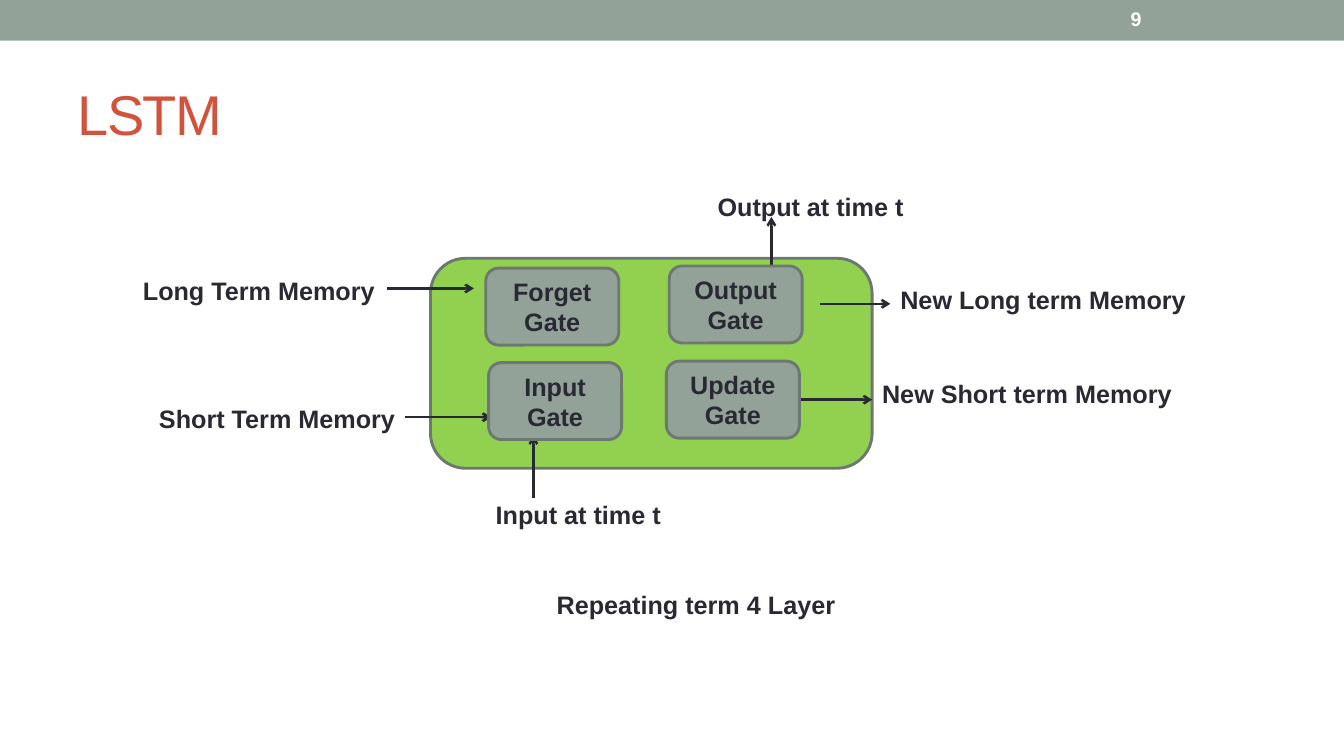
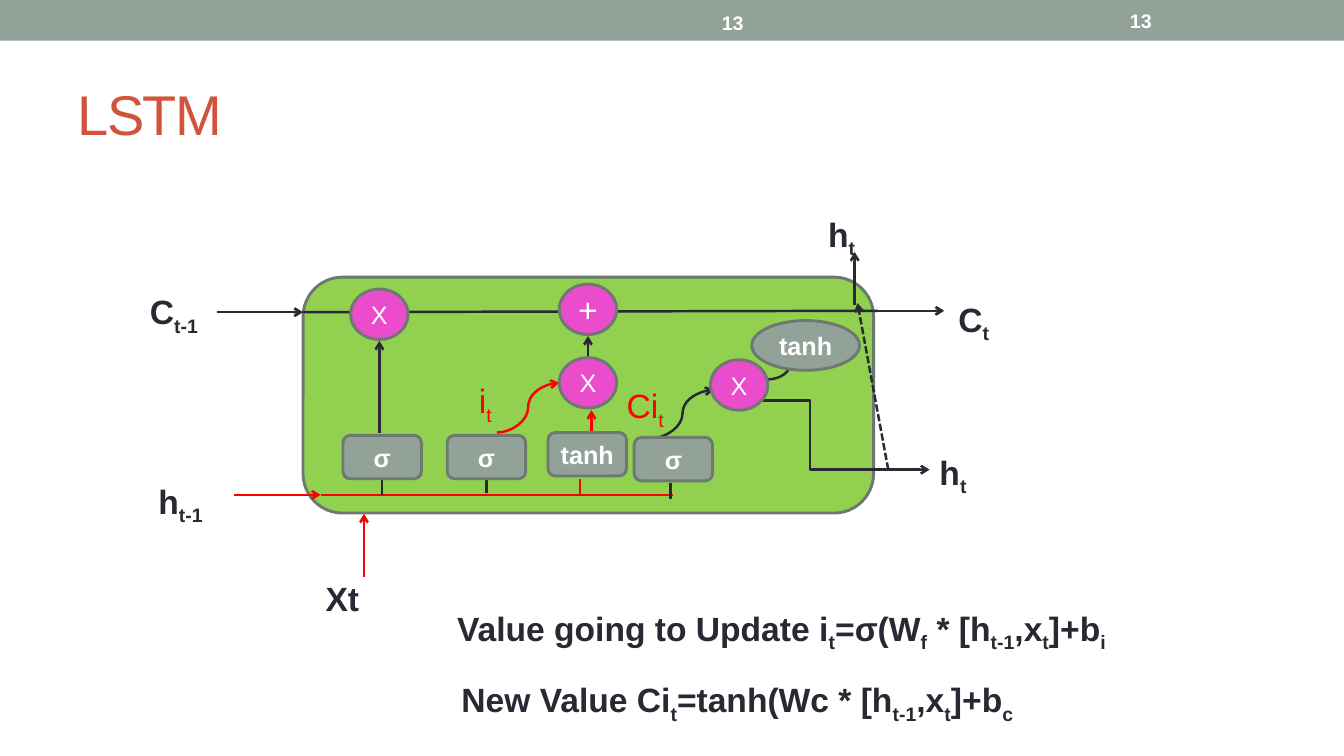
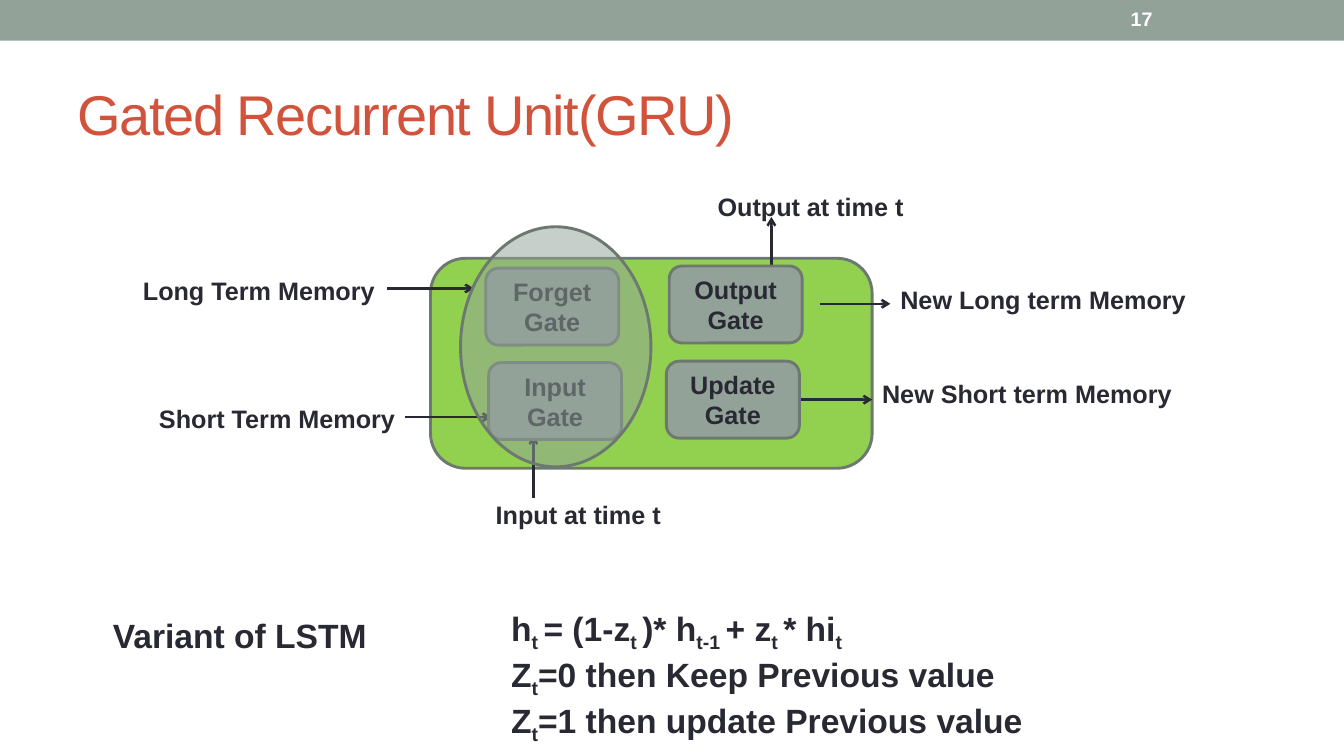
from lxml import etree
from pptx import Presentation
from pptx.dml.color import RGBColor
from pptx.enum.dml import MSO_LINE
from pptx.enum.shapes import MSO_CONNECTOR, MSO_SHAPE
from pptx.enum.text import MSO_ANCHOR, MSO_AUTO_SIZE, PP_ALIGN
from pptx.oxml.ns import qn
from pptx.util import Pt

STRAIGHT, ELBOW, CURVE = MSO_CONNECTOR.STRAIGHT, MSO_CONNECTOR.ELBOW, MSO_CONNECTOR.CURVE
RECT, ROUND, OVAL = MSO_SHAPE.RECTANGLE, MSO_SHAPE.ROUNDED_RECTANGLE, MSO_SHAPE.OVAL
LEFT, CENTER, MIDDLE = PP_ALIGN.LEFT, PP_ALIGN.CENTER, MSO_ANCHOR.MIDDLE
NO_FIT, GROW = MSO_AUTO_SIZE.NONE, MSO_AUTO_SIZE.SHAPE_TO_FIT_TEXT
DASH = MSO_LINE.SQUARE_DOT

COLORS = {"gray": "93A299", "edge": "6D7871", "green": "92D050", "pink": "EA4CCC",
          "ink": "292934", "red": "FF0000", "title": "D2533C", "white": "FFFFFF"}
RGB = {name: RGBColor.from_string(value) for name, value in COLORS.items()}
TITLE_BOX = (48, 42, 864, 78)


def write(tf, text, size, color, bold=True, align=LEFT, anchor=None, wrap=True, fit=NO_FIT):
    """Fill a text frame; a newline starts a paragraph, ~x~ is a subscript."""
    for key, value in {"word_wrap": wrap, "auto_size": fit, "vertical_anchor": anchor}.items():
        setattr(tf, key, value)
    for n, line in enumerate(text.split("\n")):
        p = tf.add_paragraph() if n else tf.paragraphs[0]
        p.alignment = align
        for m, part in enumerate(line.split("~")):
            if not part:
                continue
            r = p.add_run()
            r.text = part
            for key, value in {"name": "Arial", "size": Pt(size), "bold": bold}.items():
                setattr(r.font, key, value)
            r.font.color.rgb = RGB[color]
            if m % 2:
                r.font._element.set("baseline", "-25000")


def add_box(s, kind, box, fill, edge="edge", alpha=None):
    """Add a preset shape without a shadow."""
    sp = s.shapes.add_shape(kind, *map(Pt, box))
    sp.shadow.inherit = False
    sp.fill.solid()
    sp.fill.fore_color.rgb = RGB[fill]
    if edge:
        sp.line.color.rgb = RGB[edge]
        sp.line.width = Pt(2.08)
    else:
        sp.line.fill.background()
    if alpha:
        clr = sp._element.spPr.find(qn("a:solidFill"))[0]
        etree.SubElement(clr, qn("a:alpha"), val=str(alpha * 1000))
    return sp


# Gate diagram, used for both LSTM and GRU
# Lines: kind, x1, y1, x2, y2, colour, arrowhead, dash
GATE_LINES = [
    (STRAIGHT, 276.5, 206, 338.5, 206, "ink", True, None),
    (STRAIGHT, 585.5, 217, 636, 217, "ink", True, None),
    (STRAIGHT, 551, 193, 551, 155, "ink", True, None),
    (STRAIGHT, 289, 298, 351, 298, "ink", True, None),
    (STRAIGHT, 571, 285.5, 623, 285.5, "ink", True, None),
    (STRAIGHT, 381, 355.5, 381, 311, "ink", True, None),
]
# Labels: text, left, top, width, size, colour, bold
GATE_LABELS = [
    ("Long Term Memory", 95, 193, 182, 18, "ink", True),
    ("Input at time t", 347, 353, 134, 18, "ink", True),
    ("New Long term Memory", 636, 199.5, 220, 18, "ink", True),
    ("Short Term Memory", 106.5, 284.5, 185, 18, "ink", True),
    ("New Short term Memory", 623, 267, 224, 18, "ink", True),
    ("Output at time t", 505.5, 133, 149, 18, "ink", True),
]
# Nodes: kind, box, fill, alpha, text, size, colour, bold
GATES = [(ROUND, (x, y, 95, 55), "gray", None, text, 18, "ink", True) for text, x, y in [
    ("Forget Gate", 347, 191.5), ("Output Gate", 478, 190),
    ("Input Gate", 349, 259), ("Update Gate", 476, 258)]]
GATE_PANEL = (307.5, 184.5, 315.5, 150)
COVER = (OVAL, (329, 162, 136, 171.5), "gray", 51, "", 18, "ink", True)

# Cell diagram
CELL_LINES = [
    (STRAIGHT, 155, 223, 216.5, 223, "ink", True, None),
    (STRAIGHT, 624, 222, 674.5, 222, "ink", True, None),
    (STRAIGHT, 610.5, 218, 610.5, 180, "ink", True, None),
    (STRAIGHT, 167, 353.5, 229, 353.5, "red", True, None),
    (STRAIGHT, 613.5, 335.5, 664, 335.5, "ink", True, None),
    (STRAIGHT, 260, 412, 260, 367, "red", True, None),
    (STRAIGHT, 229, 353.5, 481, 353.5, "red", False, None),
    (STRAIGHT, 273, 342, 273, 353.5, "ink", False, None),
    (STRAIGHT, 347.5, 342, 347.5, 352.5, "ink", False, None),
    (STRAIGHT, 414.5, 342.5, 414.5, 354, "red", False, None),
    (STRAIGHT, 479, 345, 479, 356.5, "ink", False, None),
    (STRAIGHT, 216.5, 223, 627, 222, "ink", False, None),
    (CURVE, 355, 309, 399.5, 273.5, "red", True, None),
    (CURVE, 465, 313, 510, 278.5, "ink", True, None),
    (STRAIGHT, 271, 309, 271, 243.5, "ink", True, None),
    (STRAIGHT, 422.5, 308, 422.5, 293, "red", True, None),
    (STRAIGHT, 420, 255.5, 420, 240, "ink", True, None),
    (ELBOW, 543.5, 286, 613.5, 335.5, "ink", False, None),
    (CURVE, 548.5, 271, 579, 252.5, "ink", True, None),
    (STRAIGHT, 634.5, 335.5, 612.5, 216.5, "ink", True, DASH),
]
CELL_LABELS = [
    ("C~t-1~", 100, 204.5, 52, 24, "ink", True),
    ("Xt", 225.5, 409, 39, 24, "ink", True),
    ("C~t~", 677.5, 210, 37.5, 24, "ink", True),
    ("h~t-1~", 106, 340, 49, 24, "ink", True),
    ("h~t~", 664, 319, 34.5, 24, "ink", True),
    ("h~t~", 584.5, 149, 34.5, 24, "ink", True),
    ("i~t~", 335, 268, 24.5, 24, "red", False),
    ("Ci~t~", 440.5, 271.5, 42, 24, "red", False),
    ("Value going to Update i~t~=σ(W~f~ * [h~t-1~,x~t~]+b~i~", 319.5, 430.5, 487, 24, "ink", True),
    ("New Value Ci~t~=tanh(Wc * [h~t-1~,x~t~]+b~c~", 322.5, 481.5, 418, 24, "ink", True),
]
LAYERS = [(ROUND, (x, y, 56, 31), "gray", None, text, 18, "white", True) for text, x, y in [
    ("σ", 245, 311), ("σ", 319.5, 311), ("tanh", 391.5, 309), ("σ", 453, 312.5)]]
OPERATORS = [(OVAL, (x, y, 41, 36), "pink", None, text, size, "white", False) for text, size, x, y in [
    ("X", 18, 399.5, 255.5), ("X", 18, 250.5, 206.5),
    ("+", 24, 399.5, 203), ("X", 18, 507.5, 257)]]
OUTPUT_TANH = (OVAL, (537, 229, 77, 35.5), "gray", None, "tanh", 18, "white", True)
CELL_PANEL = (216.5, 198, 407.5, 168.5)

GRU_RULES = ("h~t ~= (1-z~t ~)* h~t-1 ~+ z~t ~* hi~t~\n"
             "Z~t~=0 then Keep Previous value\n"
             "Z~t~=1 then update Previous value")

# Slides: title, number, number positions, panel, lines, labels, nodes
SLIDES = [
    ("LSTM", "9", [(800.5, 0)], GATE_PANEL, GATE_LINES,
     GATE_LABELS + [("Repeating term 4 Layer", 390.5, 417.5, 220, 18, "ink", True)], GATES),
    ("LSTM", "13", [(800, 1.5), (508.5, 3)], CELL_PANEL, CELL_LINES,
     CELL_LABELS, LAYERS + OPERATORS + [OUTPUT_TANH]),
    ("Gated Recurrent Unit(GRU)", "17", [(800.5, 0)], GATE_PANEL, GATE_LINES,
     GATE_LABELS + [("Variant of LSTM", 73.5, 435.5, 197, 24, "ink", True),
                    (GRU_RULES, 358, 430.5, 384, 24, "ink", True)], GATES + [COVER]),
]

prs = Presentation()
prs.slide_width, prs.slide_height = Pt(960), Pt(540)
layout = prs.slide_layouts[5]

for index, (title, number, spots, panel, lines, labels, nodes) in enumerate(SLIDES):
    s = prs.slides.add_slide(layout)

    # Top band, moved once into the layout
    if index == 0:
        band = add_box(s, RECT, (0, 0, 960, 29), "gray", edge=None)
        layout.shapes.element.insert(2, band._element)

    # Title and slide number
    sp = s.shapes.title
    for key, value in zip(("left", "top", "width", "height"), TITLE_BOX):
        setattr(sp, key, Pt(value))
    write(sp.text_frame, title, 40, "title", bold=False, anchor=MIDDLE)
    sp.text_frame.paragraphs[0].runs[0].font._element.set("spc", "-100")
    for x, y in spots:
        sp = s.shapes.add_textbox(Pt(x), Pt(y), Pt(112), Pt(26))
        write(sp.text_frame, number, 14, "white", anchor=MIDDLE)

    # Panel
    add_box(s, ROUND, panel, "green")

    # Lines and arrows
    straight = []
    for kind, x1, y1, x2, y2, color, arrow, dash in lines:
        cxn = s.shapes.add_connector(kind, Pt(x1), Pt(y1), Pt(x2), Pt(y2))
        cxn.line.color.rgb = RGB[color]
        cxn.line.width = Pt(1.75)
        if dash:
            cxn.line.dash_style = dash
        if arrow:
            etree.SubElement(cxn.line._get_or_add_ln(), qn("a:tailEnd"), type="arrow")
        etree.SubElement(cxn._element.spPr, qn("a:effectLst"))
        if kind == STRAIGHT:
            straight.append(cxn)

    # Labels
    for text, x, y, w, size, color, bold in labels:
        height = 7 + 1.2 * size * (text.count("\n") + 1)
        sp = s.shapes.add_textbox(Pt(x), Pt(y), Pt(w), Pt(height))
        write(sp.text_frame, text, size, color, bold, wrap=False, fit=GROW)

    # Nodes, joined to the lines that start at the middle of a side
    for kind, box, fill, alpha, text, size, color, bold in nodes:
        sp = add_box(s, kind, box, fill, alpha=alpha)
        if text:
            write(sp.text_frame, text, size, color, bold, CENTER, MIDDLE)
        if kind != ROUND:
            continue
        x, y, w, h = box
        sides = [(x + w / 2, y), (x, y + h / 2), (x + w / 2, y + h), (x + w, y + h / 2)]
        for cxn in straight:
            for site, (sx, sy) in enumerate(sides):
                if abs(cxn.begin_x - Pt(sx)) < Pt(1) and abs(cxn.begin_y - Pt(sy)) < Pt(1):
                    cxn.begin_connect(sp, site)

prs.save("out.pptx")
